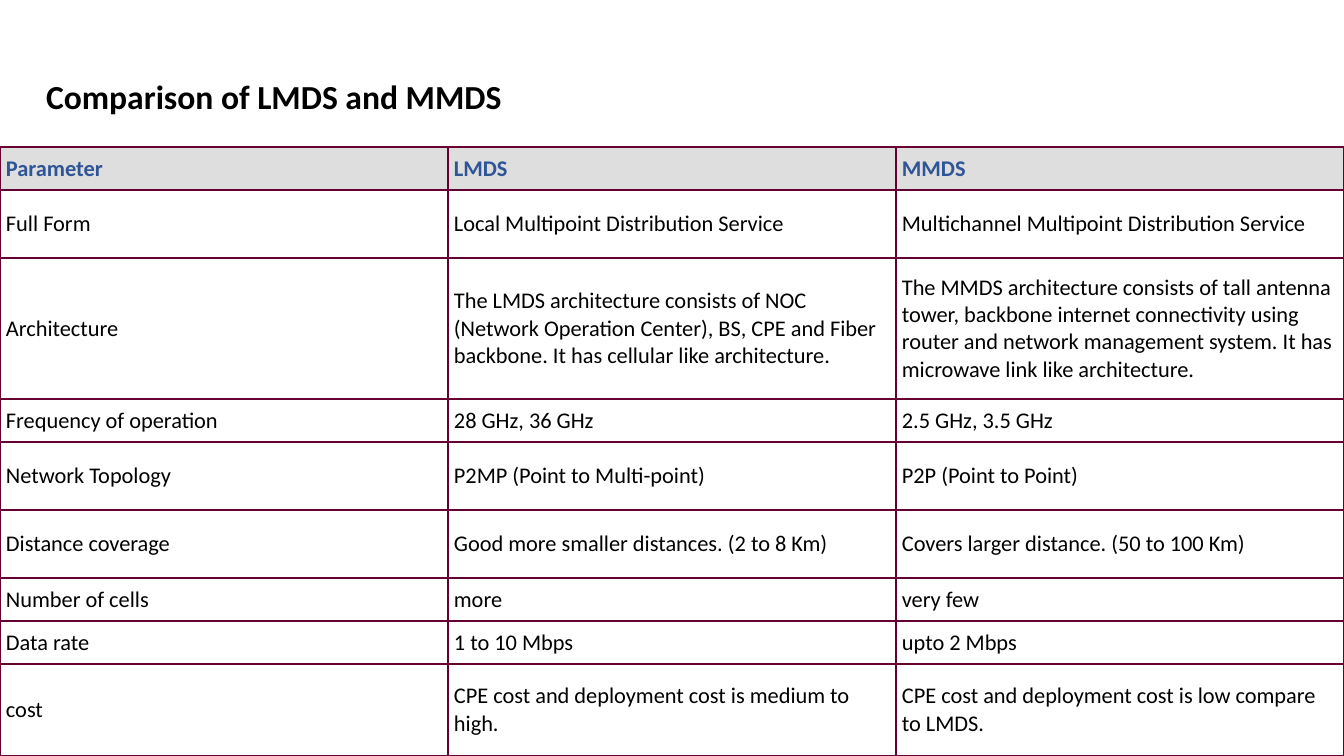
import lxml.etree
import pptx
import pptx.dml.color
import pptx.enum.text
import pptx.oxml.ns
import pptx.util

RGB = pptx.dml.color.RGBColor
BLACK = RGB(0x00, 0x00, 0x00)
WHITE = RGB(0xFF, 0xFF, 0xFF)
BLUE = RGB(0x2F, 0x55, 0x97)
GREY = RGB(0xDE, 0xDE, 0xDE)
PLUM = RGB(0x66, 0x00, 0x33)

WIDE, HIGH = 1344, 756
SCALE = 12192000 / WIDE
TITLE_ONLY = 5
ANCHOR = pptx.enum.text.MSO_ANCHOR

HEIGHTS = [43, 68, 141, 43, 68, 68, 43, 43, 92]
ROWS = [
    ("Parameter", "LMDS", "MMDS"),
    ("Full Form", "Local Multipoint Distribution Service",
     "Multichannel Multipoint Distribution Service"),
    ("Architecture",
     "The LMDS architecture consists of NOC (Network Operation Center), BS, "
     "CPE and Fiber backbone. It has cellular like architecture.",
     "The MMDS architecture consists of tall antenna tower, backbone internet "
     "connectivity using router and network management system. It has "
     "microwave link like architecture."),
    ("Frequency of operation", "28 GHz, 36 GHz", "2.5 GHz, 3.5 GHz"),
    ("Network Topology", "P2MP (Point to Multi-point)", "P2P (Point to Point)"),
    ("Distance coverage", "Good more smaller distances. (2 to 8 Km)",
     "Covers larger distance. (50 to 100 Km)"),
    ("Number of cells", "more", "very few"),
    ("Data rate", "1 to 10 Mbps", "upto 2 Mbps"),
    ("cost", "CPE cost and deployment cost is medium to high.",
     "CPE cost and deployment cost is low compare to LMDS."),
]


def emu(px):
    return pptx.util.Emu(round(px * SCALE))


def assign(item, values):
    for name, value in values.items():
        setattr(item, name, value)


class Deck:
    font = "Calibri"
    pad = 6
    rule = pptx.util.Pt(1.5)

    def __init__(self):
        self.file = pptx.Presentation()
        assign(self.file, {"slide_width": emu(WIDE), "slide_height": emu(HIGH)})
        self.slide = self.file.slides.add_slide(
            self.file.slide_layouts[TITLE_ONLY])

    def style(self, para, size, color, bold):
        assign(para.font, {"name": self.font, "size": pptx.util.Pt(size),
                           "bold": bold})
        para.font.color.rgb = color

    def title(self, text, left, top, width, height):
        shape = self.slide.shapes.title
        assign(shape, {"left": emu(left), "top": emu(top),
                       "width": emu(width), "height": emu(height)})
        frame = shape.text_frame
        assign(frame, {"text": text, "word_wrap": True,
                       "auto_size": pptx.enum.text.MSO_AUTO_SIZE.NONE,
                       "vertical_anchor": ANCHOR.BOTTOM})
        para = frame.paragraphs[0]
        assign(para, {"alignment": pptx.enum.text.PP_ALIGN.LEFT,
                      "line_spacing": 0.9})
        self.style(para, 24, BLACK, True)

    def border(self, cell):
        """Rule all four sides; must come before the cell's fill."""
        props = cell._tc.get_or_add_tcPr()
        tag = pptx.oxml.ns.qn
        for side in "LRTB":
            line = lxml.etree.SubElement(props, tag("a:ln" + side),
                                         w=str(self.rule))
            fill = lxml.etree.SubElement(line, tag("a:solidFill"))
            lxml.etree.SubElement(fill, tag("a:srgbClr"), val=str(PLUM))

    def cell(self, cell, text, head):
        pad = emu(self.pad)
        assign(cell, {"text": text, "vertical_anchor": ANCHOR.MIDDLE,
                      "margin_left": pad, "margin_right": pad,
                      "margin_top": pad, "margin_bottom": pad})
        self.style(cell.text_frame.paragraphs[0], 16,
                   BLUE if head else BLACK, head)
        self.border(cell)
        cell.fill.solid()
        cell.fill.fore_color.rgb = GREY if head else WHITE

    def table(self, rows, heights, left, top, width):
        count = len(rows[0])
        grid = self.slide.shapes.add_table(
            len(rows), count, emu(left), emu(top),
            emu(width), emu(sum(heights))).table
        grid.horz_banding = False
        for col in grid.columns:
            col.width = emu(width / count)
        for r, (texts, height) in enumerate(zip(rows, heights)):
            grid.rows[r].height = emu(height)
            for c, text in enumerate(texts):
                self.cell(grid.cell(r, c), text, r == 0)


def main():
    deck = Deck()
    deck.title("Comparison of LMDS and MMDS", 36, 20, 1215, 102)
    deck.table(ROWS, HEIGHTS, 0, 147, WIDE)
    deck.file.save("out.pptx")


if __name__ == "__main__":
    main()
